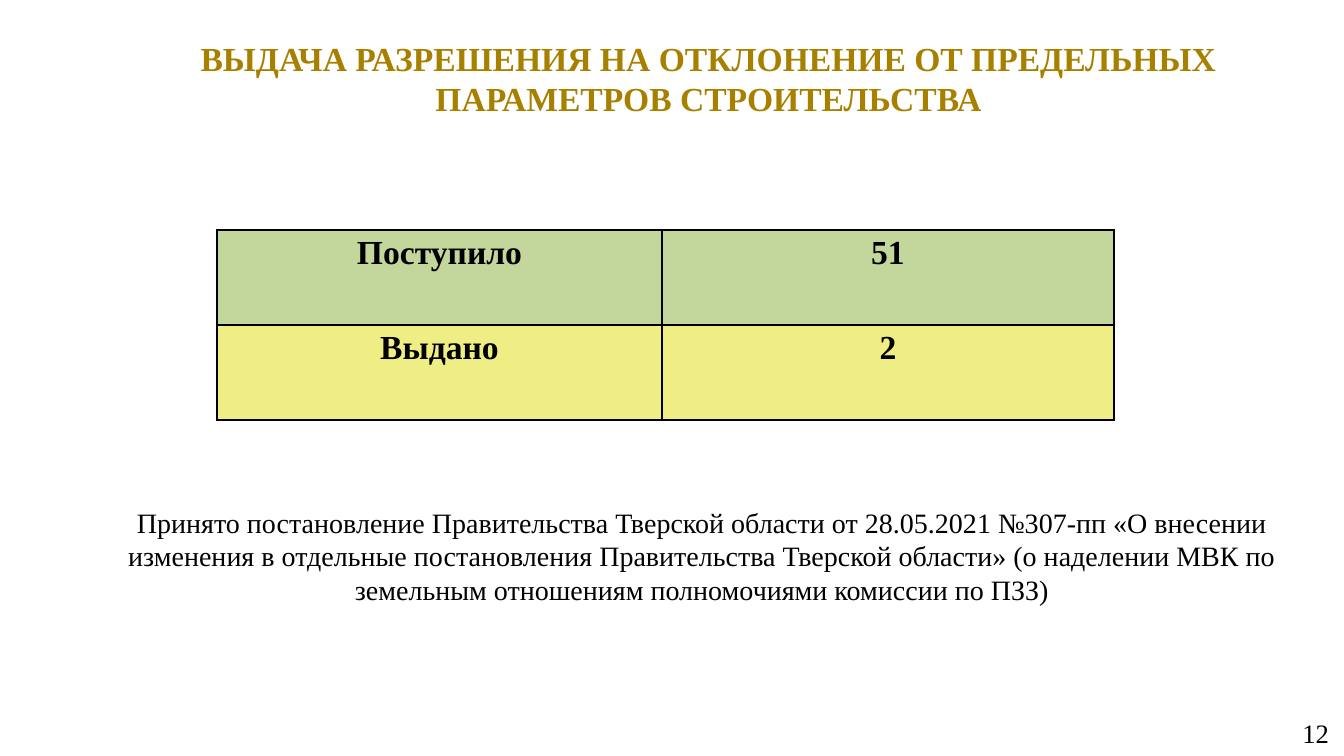
"""Builds the slide on permits to deviate from construction limits."""
import pptx
import pptx.dml.color
import pptx.enum.text
import pptx.oxml
import pptx.oxml.ns
import pptx.util

PX = 914400 / 100.8
FONT = "Times New Roman"
ALIGN = pptx.enum.text.PP_ALIGN
ANCHOR = pptx.enum.text.MSO_ANCHOR

TITLE = "ВЫДАЧА РАЗРЕШЕНИЯ НА ОТКЛОНЕНИЕ ОТ ПРЕДЕЛЬНЫХ ПАРАМЕТРОВ СТРОИТЕЛЬСТВА"
NOTE = (
    "Принято постановление Правительства Тверской области от 28.05.2021 №307-пп "
    "«О внесении изменения в отдельные постановления Правительства Тверской области» "
    "(о наделении МВК по земельным отношениям полномочиями комиссии по ПЗЗ)"
)
PAGE_NUMBER = "12"
ROWS = [("Поступило", "51", "C3D69B"), ("Выдано", "2", "EEEE84")]

TITLE_BOX = (132, 28, 1153, 100)
NOTE_BOX = (102, 502, 1200, 107)
NUMBER_BOX = (1030, 713, 312, 39)
TABLE_LEFT, TABLE_TOP = 217, 230
COLUMNS = (445, 452)
ROW_HEIGHT = 95


def px(n):
    return pptx.util.Emu(round(n * PX))


def color(value):
    return pptx.dml.color.RGBColor.from_string(value)


def write(tf, text, size, fill="000000", bold=False, align=ALIGN.CENTER):
    p = tf.paragraphs[0]
    p.alignment = align
    r = p.add_run()
    r.text = text
    r.font.name = FONT
    r.font.size = pptx.util.Pt(size)
    r.font.bold = bold
    r.font.color.rgb = color(fill)


def fill_box(sp, box, text, size, **format):
    sp.left, sp.top, sp.width, sp.height = map(px, box)
    tf = sp.text_frame
    tf.word_wrap = True
    tf.auto_size = pptx.enum.text.MSO_AUTO_SIZE.NONE
    tf.vertical_anchor = ANCHOR.MIDDLE
    tf.margin_left = tf.margin_right = px(13)
    tf.margin_top = tf.margin_bottom = px(7)
    write(tf, text, size, **format)


def add_borders(cell):
    tcPr = cell._tc.get_or_add_tcPr()
    for i, side in enumerate(("lnL", "lnR", "lnT", "lnB")):
        tcPr.insert(i, pptx.oxml.parse_xml(
            f'<a:{side} {pptx.oxml.ns.nsdecls("a")} w="12192"><a:solidFill>'
            f'<a:srgbClr val="000000"/></a:solidFill></a:{side}>'))


def add_permit_table(s):
    frame = s.shapes.add_table(
        len(ROWS), len(COLUMNS), px(TABLE_LEFT), px(TABLE_TOP),
        px(sum(COLUMNS)), px(ROW_HEIGHT * len(ROWS)))
    table = frame.table
    table.first_row = table.horz_banding = False
    for column, width in zip(table.columns, COLUMNS):
        column.width = px(width)
    for row, (*texts, fill) in zip(table.rows, ROWS):
        row.height = px(ROW_HEIGHT)
        for cell, text in zip(row.cells, texts):
            cell.fill.solid()
            cell.fill.fore_color.rgb = color(fill)
            cell.margin_left = cell.margin_right = px(13)
            cell.margin_top = cell.margin_bottom = px(5)
            write(cell.text_frame, text, 24, bold=True)
            add_borders(cell)


def main():
    prs = pptx.Presentation()
    prs.slide_width, prs.slide_height = px(1344), px(756)
    s = prs.slides.add_slide(prs.slide_layouts[5])
    fill_box(s.shapes.title, TITLE_BOX, TITLE, 24, fill="A88000", bold=True)
    number = s.shapes.add_textbox(0, 0, 0, 0)
    fill_box(number, NUMBER_BOX, PAGE_NUMBER, 19, align=ALIGN.RIGHT)
    add_permit_table(s)
    note = s.shapes.add_textbox(0, 0, 0, 0)
    fill_box(note, NOTE_BOX, NOTE, 20)
    prs.save("out.pptx")


if __name__ == "__main__":
    main()
